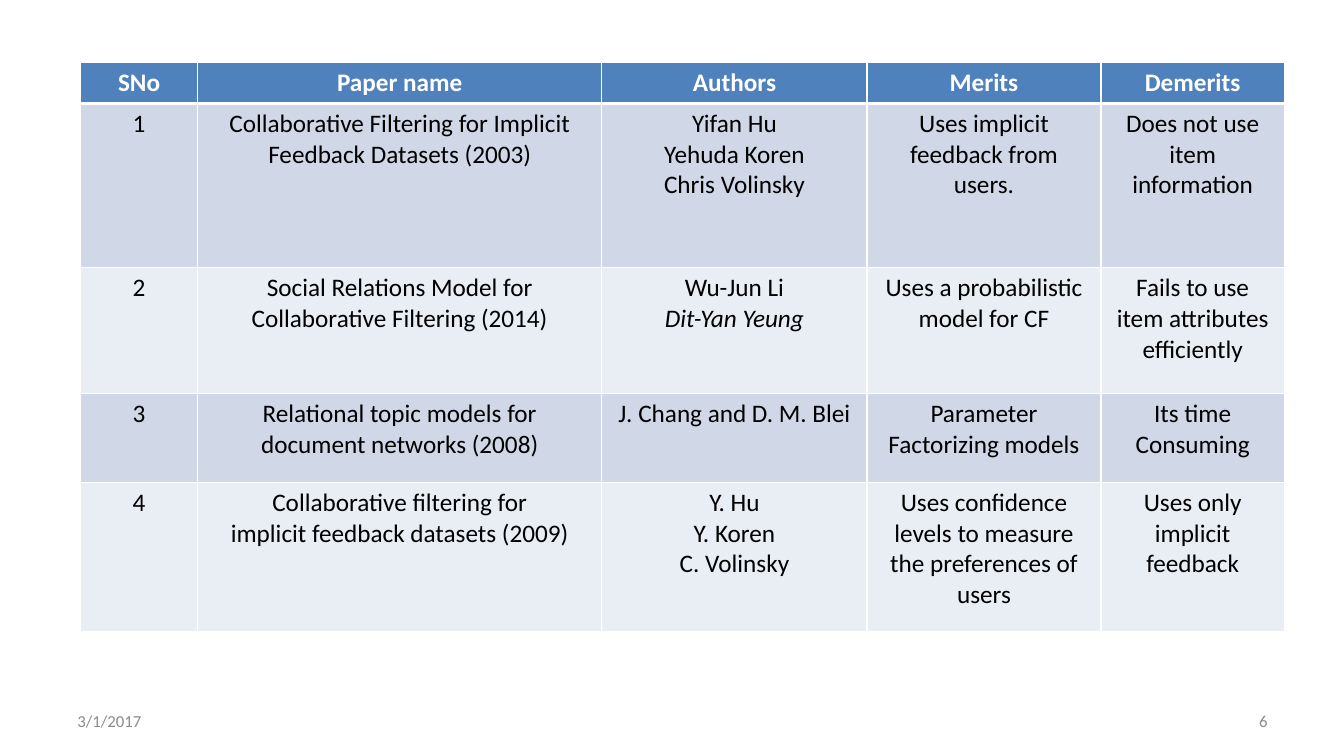
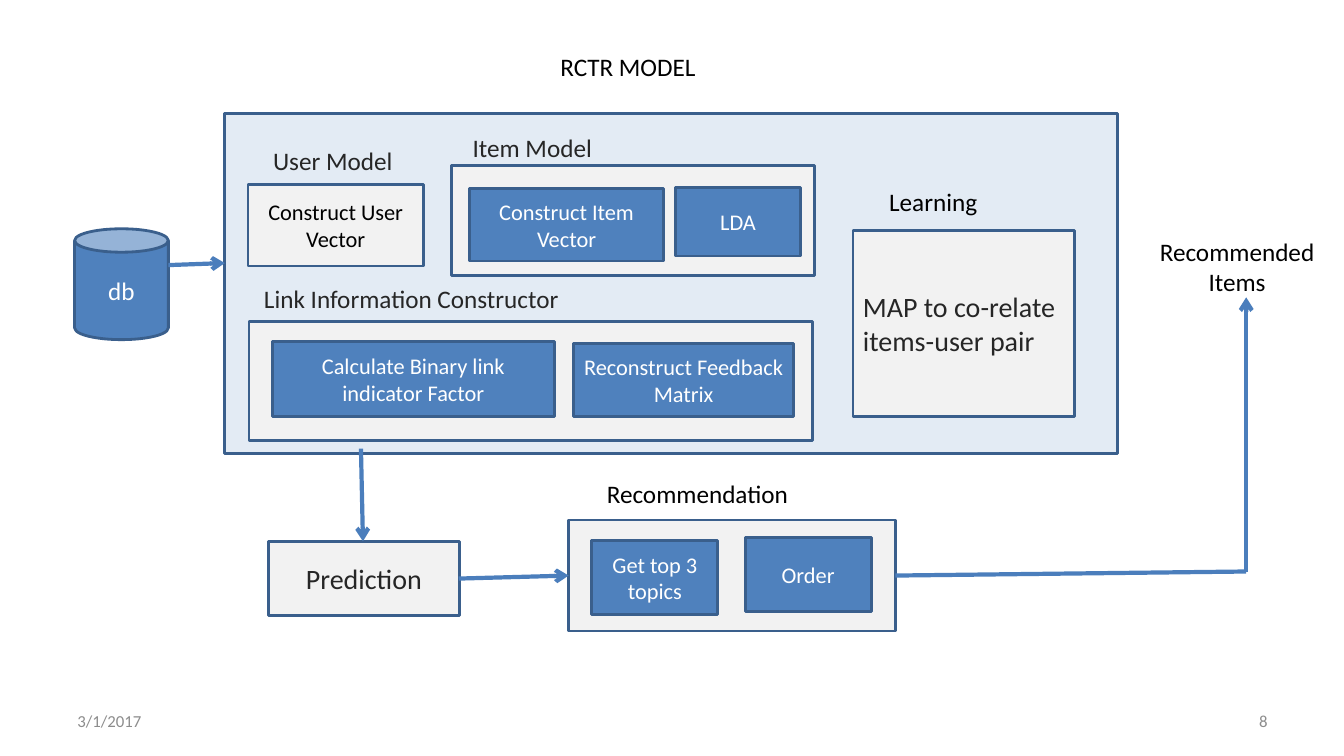
from lxml import etree
from pptx import Presentation
from pptx.dml.color import RGBColor
from pptx.enum.shapes import MSO_CONNECTOR, MSO_SHAPE
from pptx.enum.text import MSO_ANCHOR, PP_ALIGN
from pptx.oxml.ns import qn
from pptx.util import Pt

LEFT, CENTER, RIGHT = PP_ALIGN.LEFT, PP_ALIGN.CENTER, PP_ALIGN.RIGHT
TOP, MIDDLE = MSO_ANCHOR.TOP, MSO_ANCHOR.MIDDLE
RECT, CAN = MSO_SHAPE.RECTANGLE, MSO_SHAPE.CAN
STRAIGHT = MSO_CONNECTOR.STRAIGHT

PX = 9144
FONT = "Calibri"
BLUE, EDGE, ARROW = "4F81BD", "3A5F8C", "4B7EBC"
PANEL, PALE, BANDS = "F2F2F2", "DCE6F2", ("E9EDF4", "D0D8E8")
WHITE, BLACK, DARK, GRAY = "FFFFFF", "000000", "262626", "8C8C8C"
DATE = "3/1/2017"
hue = RGBColor.from_string


def write(frame, text, size, ink, align=CENTER, bold=False):
    frame.text = text
    for para in frame.paragraphs:
        para.alignment = align
        para.font.name = FONT
        para.font.size = Pt(size)
        para.font.bold = bold
        para.font.color.rgb = hue(ink)


def draw(slide, spot, fill, text="", size=16, ink=WHITE, align=CENTER, kind=RECT):
    shape = slide.shapes.add_shape(kind, *[n * PX for n in spot])
    shape.shadow.inherit = False
    shape.fill.solid()
    shape.fill.fore_color.rgb = hue(fill)
    shape.line.color.rgb = hue(EDGE)
    shape.line.width = Pt(2)
    if text:
        shape.text_frame.vertical_anchor = MIDDLE
        write(shape.text_frame, text, size, ink, align)
    return shape


deck = Presentation()
deck.slide_width, deck.slide_height = 1333 * PX, 750 * PX
blank = deck.slide_layouts[6]
papers, model = [deck.slides.add_slide(blank) for _ in range(2)]

widths = [116, 401, 263, 232, 182]
heights = [40, 163, 125, 88, 148]
rows = [
    ["SNo", "Paper name", "Authors", "Merits", "Demerits"],
    ["1", "Collaborative Filtering for Implicit Feedback Datasets (2003)",
     "Yifan Hu\nYehuda Koren\nChris Volinsky",
     "Uses implicit feedback from users.", "Does not use item information"],
    ["2", "Social Relations Model for Collaborative Filtering (2014)",
     "Wu-Jun Li\nDit-Yan Yeung",
     "Uses a probabilistic model for CF",
     "Fails to use item attributes efficiently"],
    ["3", "Relational topic models for document networks (2008)",
     "J. Chang and D. M. Blei",
     "Parameter Factorizing models", "Its time Consuming"],
    ["4", "Collaborative filtering for\nimplicit feedback datasets (2009)",
     "Y. Hu\nY. Koren\nC. Volinsky",
     "Uses confidence levels to measure the preferences of users",
     "Uses only implicit feedback"],
]
grid = papers.shapes.add_table(
    len(rows), len(widths), 80 * PX, 62 * PX,
    sum(widths) * PX, sum(heights) * PX).table
for col, width in zip(grid.columns, widths):
    col.width = width * PX
for r, (row, height) in enumerate(zip(rows, heights)):
    grid.rows[r].height = height * PX
    head = r == 0
    for c, text in enumerate(row):
        cell = grid.cell(r, c)
        write(cell.text_frame, text, 18, WHITE if head else BLACK, bold=head)
        for side in ("lnL", "lnR", "lnT", "lnB"):
            thick = (head and side == "lnB") or (r == 1 and side == "lnT")
            line = etree.SubElement(
                cell._tc.get_or_add_tcPr(), qn("a:" + side),
                w=str(Pt(3 if thick else 1)))
            paint = etree.SubElement(line, qn("a:solidFill"))
            etree.SubElement(paint, qn("a:srgbClr"), val=WHITE)
        cell.fill.solid()
        cell.fill.fore_color.rgb = hue(BLUE if head else BANDS[r % 2])
grid.cell(2, 2).text_frame.paragraphs[1].font.italic = True

frame = draw(model, (223, 113, 885, 337), PALE)
tint = frame.fill._xPr.find(".//" + qn("a:srgbClr"))
etree.SubElement(tint, qn("a:alpha"), val="80000")

for spot in [(247, 319, 559, 118), (448, 164, 360, 109), (564, 516, 324, 110)]:
    draw(model, spot, PANEL)

draw(model, (846, 229, 220, 184), PANEL,
     "MAP to co-relate items-user pair", 20, DARK, LEFT)
draw(model, (246, 183, 174, 81), PANEL, "Construct User Vector", 16, BLACK)
draw(model, (266, 537, 190, 74), PANEL, "Prediction", 20, DARK)
draw(model, (74, 227, 93, 110), BLUE, "db", 18, kind=CAN)

for spot, text in [
    ((270, 339, 280, 74), "Calculate Binary link indicator Factor"),
    ((569, 341, 218, 72), "Reconstruct Feedback Matrix"),
    ((466, 187, 192, 72), "Construct Item Vector"),
    ((670, 186, 124, 68), "LDA"),
    ((587, 536, 125, 74), "Get top 3 topics"),
    ((739, 533, 125, 74), "Order"),
]:
    draw(model, spot, BLUE, text)

for ends, tip in [
    ((167, 263, 223, 261), True),
    ((358, 445, 360, 537), True),
    ((455, 574, 564, 571), True),
    ((888, 571, 1236, 567), False),
    ((1236, 567, 1236, 295), True),
]:
    link = model.shapes.add_connector(STRAIGHT, *[n * PX for n in ends])
    link.line.color.rgb = hue(ARROW)
    link.line.width = Pt(3)
    if tip:
        etree.SubElement(link.line._get_or_add_ln(), qn("a:tailEnd"), type="arrow")
    etree.SubElement(link._element.spPr, qn("a:effectLst"))

labels = [
    (model, (546, 46, 156, 40), "RCTR MODEL", 18, BLACK, LEFT),
    (model, (261, 139, 140, 40), "User Model", 18, DARK, LEFT),
    (model, (459, 126, 140, 40), "Item Model", 18, DARK, LEFT),
    (model, (250, 276, 316, 40), "Link Information Constructor", 18, DARK, CENTER),
    (model, (872, 180, 109, 40), "Learning", 18, BLACK, LEFT),
    (model, (592, 470, 202, 40), "Recommendation", 18, BLACK, LEFT),
    (model, (1138, 229, 178, 71), "Recommended\nItems", 18, BLACK, CENTER),
]
for slide, page in [(papers, "6"), (model, "8")]:
    labels.append((slide, (67, 695, 311, 40), DATE, 12, GRAY, LEFT))
    labels.append((slide, (956, 695, 311, 40), page, 12, GRAY, RIGHT))
for slide, spot, text, size, ink, align in labels:
    body = slide.shapes.add_textbox(*[n * PX for n in spot]).text_frame
    foot = ink == GRAY
    body.word_wrap = foot
    body.vertical_anchor = MIDDLE if foot else TOP
    write(body, text, size, ink, align)

deck.save("out.pptx")
